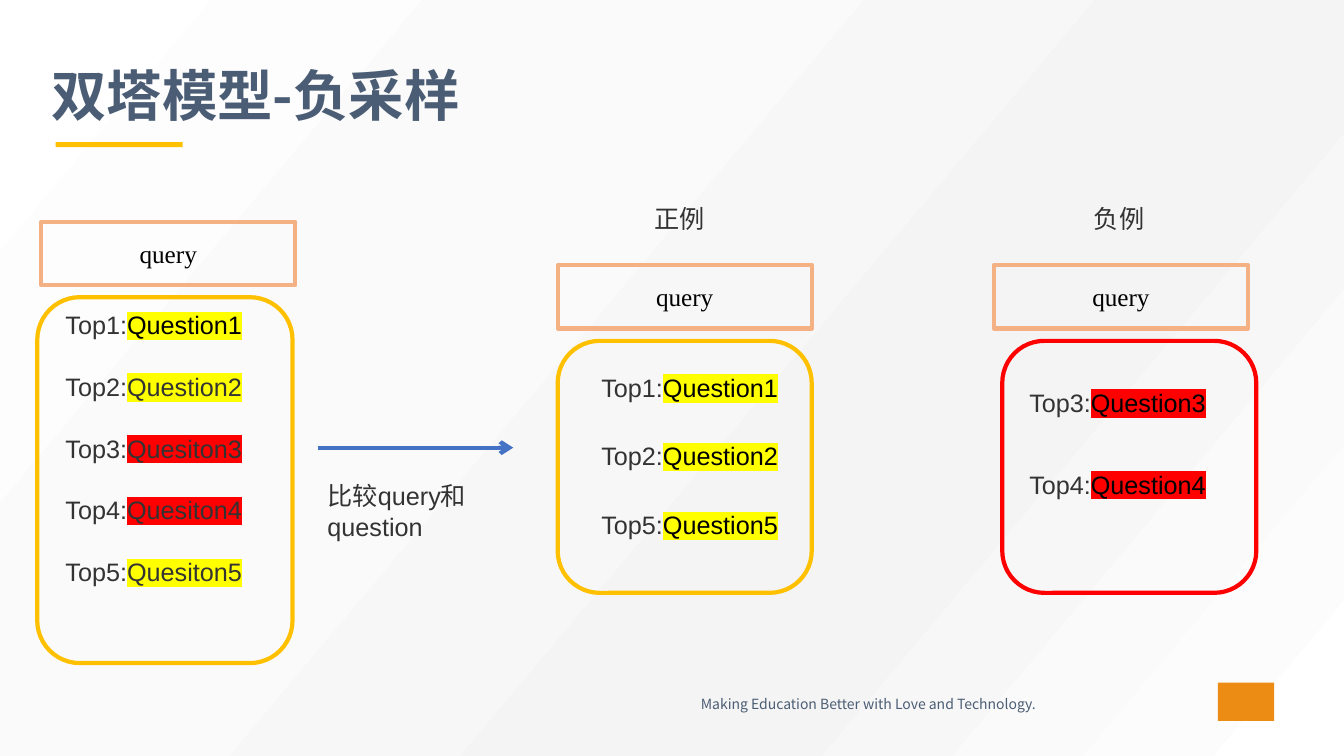
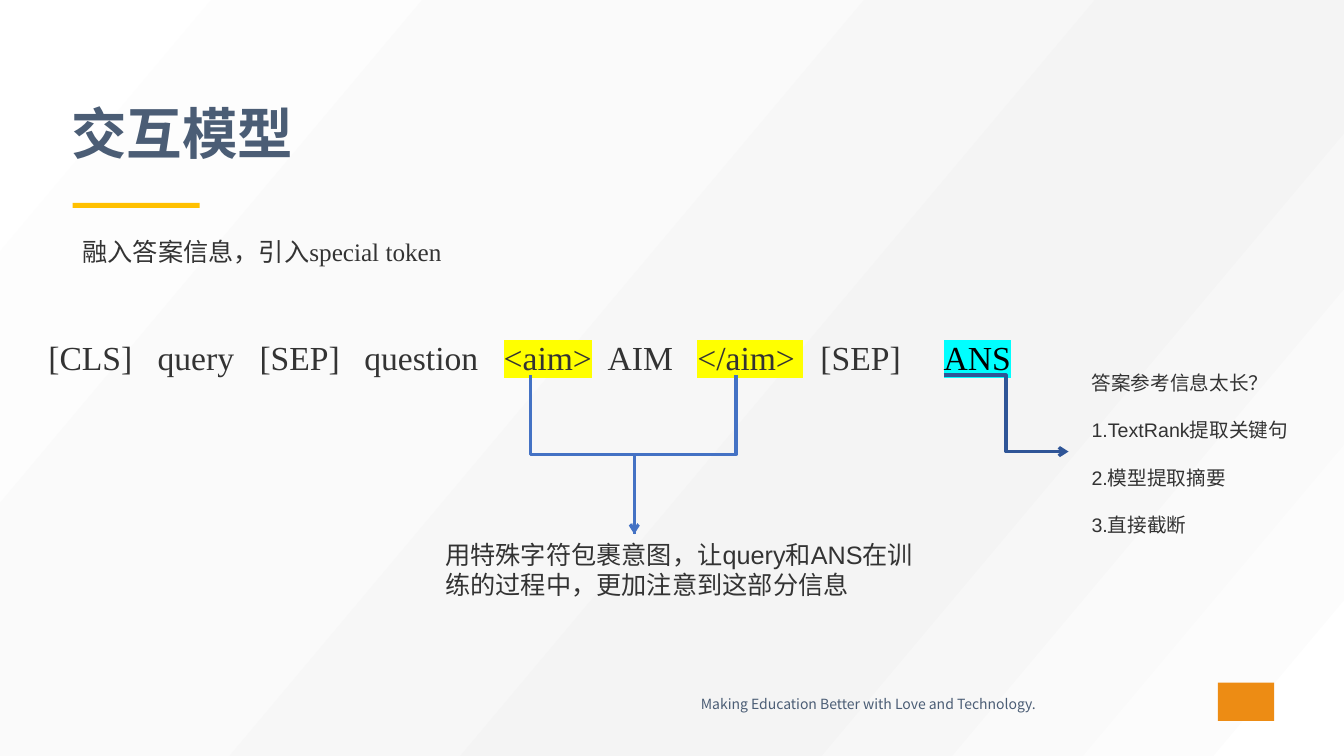
from lxml import etree
from pptx import Presentation
from pptx import util as u
from pptx.dml.color import RGBColor
from pptx.enum import shapes, text
from pptx.oxml.ns import qn
from pptx.util import Cm, Pt

# Colours
SLATE = RGBColor(0x4B, 0x5D, 0x75)
DARK = RGBColor(0x33, 0x33, 0x33)
BLACK = RGBColor(0x00, 0x00, 0x00)
ORANGE = RGBColor(0xED, 0x8C, 0x14)
PEACH = RGBColor(0xF4, 0xB1, 0x83)
AMBER = RGBColor(0xFF, 0xC0, 0x00)
YELLOW = RGBColor(0xFF, 0xFF, 0x00)
RED = RGBColor(0xFF, 0x00, 0x00)
CYAN = RGBColor(0x00, 0xFF, 0xFF)
BLUE = RGBColor(0x44, 0x72, 0xC4)
NAVY = RGBColor(0x2F, 0x55, 0x97)
BACKGROUND_STOPS = [(0, "FFFFFF"), (32, "FAFAFA"), (67, "F4F4F4"), (100, "FFFFFF")]

# Font formats
TITLE = {"size": Pt(39.6), "name": "Noto Sans CJK SC", "bold": True}
FOOTER = {"size": Pt(10), "name": "Noto Sans CJK SC"}
BODY = {"size": Pt(18), "name": "Arial"}
SMALL = {"size": Pt(14), "name": "Arial"}
SERIF = {"size": Pt(18), "name": "Times New Roman"}
TOKEN = {"size": Pt(24), "name": "Times New Roman"}

# Paragraph formats
LEFT = {"alignment": text.PP_ALIGN.LEFT}
CENTER = {"alignment": text.PP_ALIGN.CENTER}
RIGHT = {"alignment": text.PP_ALIGN.RIGHT}
MIDDLE = text.MSO_ANCHOR.MIDDLE
RECT = shapes.MSO_SHAPE.RECTANGLE
ROUNDED = shapes.MSO_SHAPE.ROUNDED_RECTANGLE


def add_box(page, at, paras=(), look=BODY, layout=LEFT, anchor=text.MSO_ANCHOR.TOP,
            kind=None, fill=None, outline=None):
    """Add a text box, or a shape of the given kind; a run is (text, colour, highlight, look)."""
    place = [Cm(value) for value in at]
    if kind is None:
        box = page.shapes.add_textbox(*place)
    else:
        box = page.shapes.add_shape(kind, *place)
        box.shadow.inherit = False
        if fill is None:
            box.fill.background()
        else:
            box.fill.solid()
            box.fill.fore_color.rgb = fill
        if outline is None:
            box.line.fill.background()
        else:
            box.line.color.rgb = outline
            box.line.width = Pt(3)
    frame = box.text_frame
    frame.word_wrap = True
    frame.vertical_anchor = anchor
    for number, runs in enumerate(paras):
        para = frame.add_paragraph() if number else frame.paragraphs[0]
        for name, value in layout.items():
            setattr(para, name, value)
        for words, colour, highlight, *own_look in runs:
            span = para.add_run()
            span.text = words
            font_format = own_look[0] if own_look else look
            for name, value in font_format.items():
                setattr(span.font, name, value)
            span.font.color.rgb = colour
            props = span.font._element
            east_asian = etree.Element(qn("a:ea"), typeface=font_format["name"])
            props.find(qn("a:latin")).addnext(east_asian)
            if highlight is not None:
                mark = etree.Element(qn("a:highlight"))
                etree.SubElement(mark, qn("a:srgbClr"), val=str(highlight))
                props.find(qn("a:solidFill")).addnext(mark)
    return box


def add_line(page, start, end, colour, width, bent=False, downward=False, arrow=True):
    """Add a connector; a downward one leaves and arrives vertically."""
    (x1, y1), (x2, y2) = start, end
    if downward:  # frame of the line before its quarter turn
        cx, cy = (x1 + x2) / 2, (y1 + y2) / 2
        x1, y1, x2, y2 = cx + y1 - cy, cy - x1 + cx, cx + y2 - cy, cy - x2 + cx
    kind = shapes.MSO_CONNECTOR.ELBOW if bent else shapes.MSO_CONNECTOR.STRAIGHT
    line = page.shapes.add_connector(kind, Cm(x1), Cm(y1), Cm(x2), Cm(y2))
    line.line.color.rgb = colour
    line.line.width = Pt(width)
    props = line._element.spPr
    if downward:
        props.find(qn("a:xfrm")).set("rot", str(90 * 60000))
    if arrow:
        etree.SubElement(props.find(qn("a:ln")), qn("a:tailEnd"), type="arrow")
    etree.SubElement(props, qn("a:effectLst"))


deck = Presentation()
deck.slide_width, deck.slide_height = u.Inches(13.33), u.Inches(7.5)

# Shared parts: background, footer, title and its bar
pages = []
for title, title_at, bar_at in [
    ("双塔模型-负采样", (1.04, 1.4), (1.4, 3.58)),
    ("交互模型", (1.55, 2.34), (1.83, 5.11)),
]:
    page = deck.slides.add_slide(deck.slide_layouts[6])
    backdrop = page.background.fill
    backdrop.gradient()
    backdrop.gradient_angle = 320
    stops = page._element.find(".//" + qn("a:gsLst"))
    for stop in list(stops):
        stops.remove(stop)
    for percent, colour in BACKGROUND_STOPS:
        stop = etree.SubElement(stops, qn("a:gs"), pos=str(percent * 1000))
        etree.SubElement(stop, qn("a:srgbClr"), val=colour)
    add_box(page, (30.68, 17.2, 1.42, 0.97), kind=RECT, fill=ORANGE)
    add_box(page, (11.63, 17.4, 14.71, 0.69),
            [[("Making Education Better with Love and Technology.", SLATE, None)]],
            FOOTER, RIGHT)
    add_box(page, (*title_at, 30.4, 2.18), [[(title, SLATE, None)]], TITLE,
            {"line_spacing": 0.9}, MIDDLE)
    add_box(page, (*bar_at, 3.2, 0.13), kind=RECT, fill=AMBER)
    pages.append(page)
sampling, interaction = pages

# Slide 1: ranked questions of the query
ranking = [
    ("Question1", BLACK, YELLOW),
    ("Question2", DARK, YELLOW),
    ("Quesiton3", DARK, RED),
    ("Quesiton4", DARK, RED),
    ("Quesiton5", DARK, YELLOW),
]
add_box(sampling, (0.94, 7.49, 6.43, 9.22), kind=ROUNDED, outline=AMBER)
add_box(sampling, (1.4, 7.67, 5.49, 9.47),
        [[(f"Top{rank}:", DARK, None), question] for rank, question in enumerate(ranking, 1)],
        layout={"space_after": Pt(22.5)})

# Slide 1: query frames
for left, top in [(1.04, 5.59), (14.05, 6.68), (25.04, 6.68)]:
    add_box(sampling, (left, top, 6.4, 1.6), [[("query", BLACK, None)]], SERIF, CENTER,
            MIDDLE, kind=RECT, outline=PEACH)

# Slide 1: positive and negative samples
for label, label_left, frame_left, outline, mark, ranks, left, top, step in [
    ("正例", 16.23, 14.05, AMBER, YELLOW, (1, 2, 5), 14.9, 9.25, 1.73),
    ("负例", 27.31, 25.25, RED, RED, (3, 4), 25.68, 9.63, 2.06),
]:
    add_box(sampling, (label_left, 5, 6, 1.02), [[(label, DARK, None)]])
    add_box(sampling, (frame_left, 8.59, 6.4, 6.35), kind=ROUNDED, outline=outline)
    for row, rank in enumerate(ranks):
        add_box(sampling, (left, top + row * step, 5.54, 1.02),
                [[(f"Top{rank}:", DARK, None), (f"Question{rank}", BLACK, mark)]])

# Slide 1: comparison step
add_line(sampling, (8, 11.28), (12.93, 11.28), BLUE, 3)
add_box(sampling, (8, 11.99, 4.85, 1.8), [[("比较query和question", DARK, None)]])

# Slide 2: lead sentence
add_box(interaction, (1.83, 5.84, 16.23, 1.02),
        [[("融入答案信息，引入", DARK, None), ("special token", DARK, None, SERIF)]])

# Slide 2: token sequence, set on tab stops (in cm)
tokens = [
    ("[CLS]", DARK, None, 0),
    ("query", DARK, None, 2.75),
    ("[SEP]", DARK, None, 5.32),
    ("question", DARK, None, 7.96),
    ("<aim>", DARK, YELLOW, 11.47),
    ("AIM", DARK, None, 14.09),
    ("</aim> ", DARK, YELLOW, 16.35),
    ("[SEP]", DARK, None, 19.45),
    ("ANS", BLACK, CYAN, 22.55),
]
spans = []
for word, colour, mark, stop in tokens:
    if stop:
        spans.append(("\t", DARK, None))
    spans.append((word, colour, mark))
sequence = add_box(interaction, (0.97, 8.36, 28.91, 1.27), [spans], TOKEN)
tab_list = etree.SubElement(sequence.text_frame.paragraphs[0]._p.get_or_add_pPr(),
                            qn("a:tabLst"))
for *_, stop in tokens[1:]:
    etree.SubElement(tab_list, qn("a:tab"), pos=str(Cm(stop)), algn="l")

# Slide 2: bracket from both aim tokens to the note
for left, arrow in [(13.36, True), (18.54, False)]:
    add_line(interaction, (left, 9.45), (15.98, 13.46), BLUE, 2.25, bent=True,
             downward=True, arrow=arrow)
add_box(interaction, (10.97, 13.46, 12.6, 2.92),
        [[("用特殊字符包裹意图，让query和ANS在训练的过程中，更加注意到这部分信息", DARK, None)]])

# Slide 2: ways to shorten the answer
add_line(interaction, (23.77, 9.45), (26.92, 11.38), NAVY, 2.25, bent=True)
options = ["答案参考信息太长？", "1.TextRank提取关键句", "2.模型提取摘要", "3.直接截断"]
add_box(interaction, (27.25, 9.22, 6.6, 4.45),
        [[(option, DARK, None)] for option in options], SMALL, {"space_after": Pt(17)})

deck.save("out.pptx")
